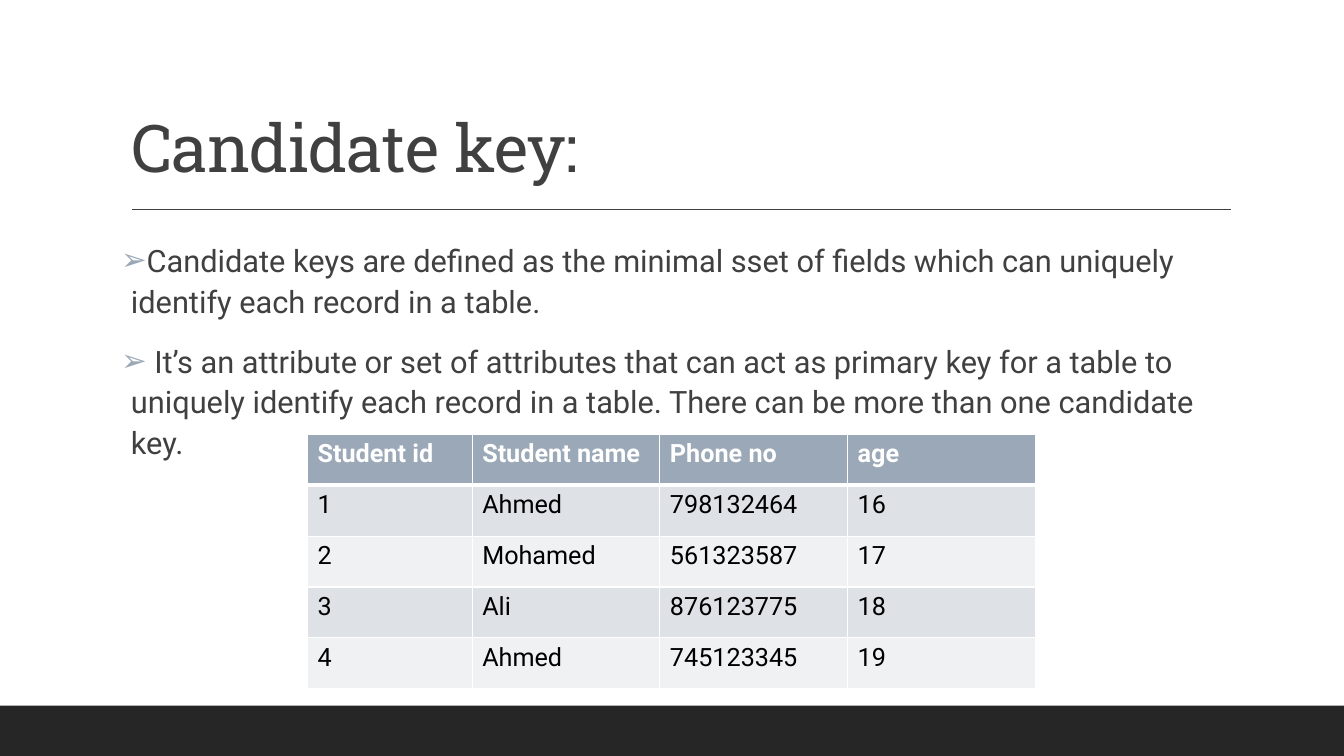
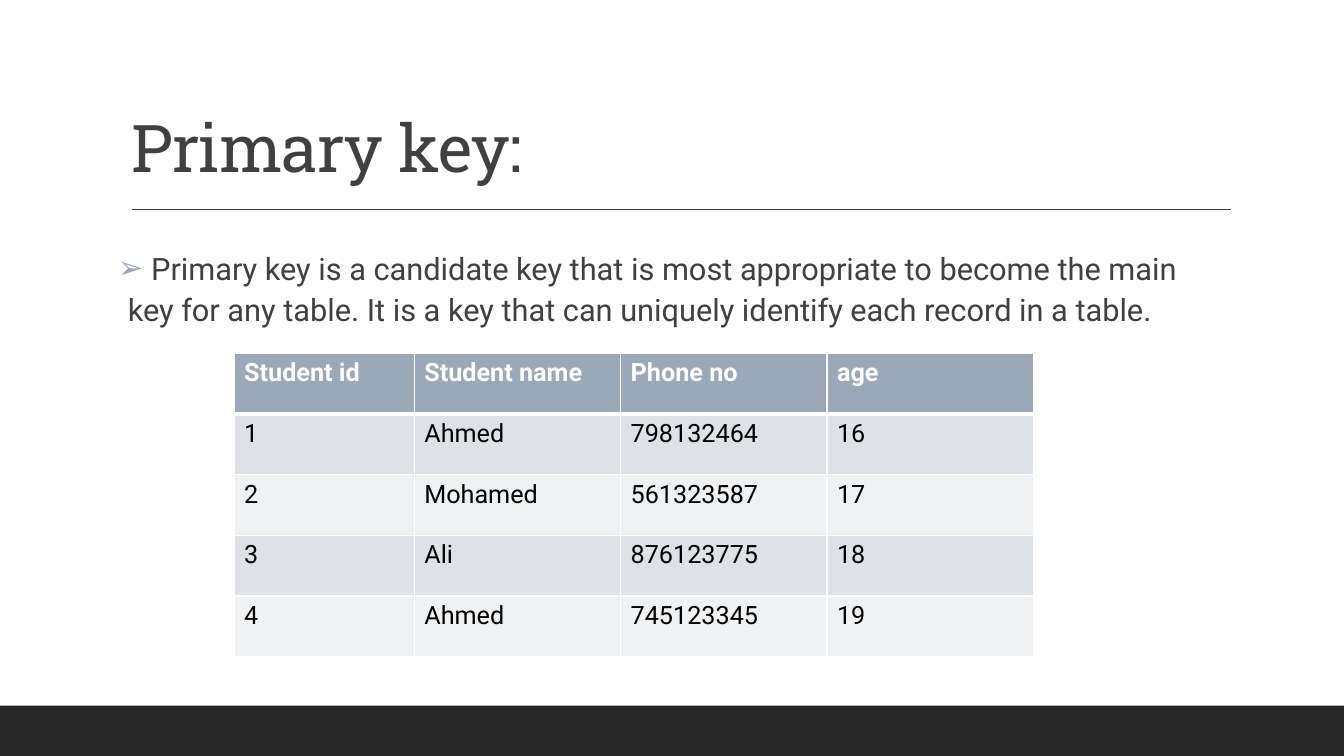
from lxml.etree import SubElement
from pptx import Presentation
from pptx.dml.color import RGBColor
from pptx.enum.shapes import MSO_CONNECTOR, MSO_SHAPE
from pptx.enum.text import MSO_ANCHOR, MSO_AUTO_SIZE, PP_ALIGN
from pptx.oxml.ns import qn
from pptx.util import Cm, Pt

WHITE = RGBColor(0xFF, 0xFF, 0xFF)
BLACK = RGBColor(0, 0, 0)
INK = RGBColor(0x40, 0x40, 0x40)
BAND = RGBColor(0x26, 0x26, 0x26)
ACCENT = RGBColor(0x9B, 0xA8, 0xB7)
ROW_TINTS = (RGBColor(0xDE, 0xE1, 0xE6), RGBColor(0xEF, 0xF1, 0xF3))

TITLE_FONT = "Roboto Slab"
BODY_FONT = "Roboto"
SLIDE_W, SLIDE_H = Cm(33.87), Cm(19.05)
BAND_H = Cm(1.27)
CONTENT_W = Cm(27.94)

STUDENTS = [
    ("Student id", "Student name", "Phone no", "age"),
    ("1", "Ahmed", "798132464", "16"),
    ("2", "Mohamed", "561323587", "17"),
    ("3", "Ali", "876123775", "18"),
    ("4", "Ahmed", "745123345", "19"),
]


def write(p, text, size=18, color=INK, font=BODY_FONT, bold=False, spacing=None):
    r = p.add_run()
    r.text = text
    r.font.size = Pt(size)
    r.font.name = font
    r.font.bold = bold
    r.font.color.rgb = color
    if spacing is not None:
        r.font._element.set("spc", str(round(spacing * 100)))


def place(sp, left, top, width, height):
    sp.left, sp.top, sp.width, sp.height = left, top, width, height


def add_frame(s):
    band = s.shapes.add_shape(
        MSO_SHAPE.RECTANGLE, 0, SLIDE_H - BAND_H, SLIDE_W, BAND_H)
    band.shadow.inherit = False
    band.fill.solid()
    band.fill.fore_color.rgb = BAND
    band.line.fill.background()

    rule = s.shapes.add_connector(
        MSO_CONNECTOR.STRAIGHT, Cm(3.33), Cm(5.28), Cm(31.01), Cm(5.28))
    rule.line.color.rgb = INK
    rule.line.width = Pt(1)
    SubElement(rule._element.spPr, qn("a:effectLst"))


def set_title(s, text):
    sp = s.shapes.title
    place(sp, Cm(3.05), Cm(0.79), CONTENT_W, Cm(4.04))
    tf = sp.text_frame
    tf.auto_size = MSO_AUTO_SIZE.NONE
    tf.vertical_anchor = MSO_ANCHOR.BOTTOM
    p = tf.paragraphs[0]
    p.alignment = PP_ALIGN.LEFT
    p.line_spacing = 0.9
    write(p, text, size=47, font=TITLE_FONT, spacing=-0.5)


def add_bullet(p):
    pPr = p._p.get_or_add_pPr()
    indent = Cm(0.25)
    pPr.set("marL", str(indent))
    pPr.set("indent", str(-indent))
    color = SubElement(pPr, qn("a:buClr"))
    SubElement(color, qn("a:srgbClr"), val=str(ACCENT))
    SubElement(pPr, qn("a:buChar"), char="➢")


def set_body(s, items, left, top):
    sp = s.placeholders[1]
    place(sp, left, top, CONTENT_W, Cm(10.44))
    tf = sp.text_frame
    tf.auto_size = MSO_AUTO_SIZE.NONE
    tf.margin_left = tf.margin_right = 0
    for i, item in enumerate(items):
        p = tf.add_paragraph() if i else tf.paragraphs[0]
        p.line_spacing = 1.1
        p.space_before = Pt(12)
        p.space_after = Pt(2)
        add_bullet(p)
        write(p, item, size=22)


def set_borders(cell, **widths):
    tcPr = cell._tc.get_or_add_tcPr()
    for side in ("L", "R", "T", "B"):
        ln = SubElement(tcPr, qn(f"a:ln{side}"), w=str(Pt(widths.get(side, 1))))
        fill = SubElement(ln, qn("a:solidFill"))
        SubElement(fill, qn("a:srgbClr"), val=str(WHITE))


def add_student_table(s, left, top, id_width, col_width, row_height):
    widths = [id_width] + [col_width] * (len(STUDENTS[0]) - 1)
    table = s.shapes.add_table(
        len(STUDENTS), len(widths), left, top,
        sum(widths), row_height * len(STUDENTS)).table
    for column, width in zip(table.columns, widths):
        column.width = width
    for i, record in enumerate(STUDENTS):
        header = i == 0
        for j, value in enumerate(record):
            cell = table.cell(i, j)
            set_borders(cell, T=3 if i == 1 else 1, B=3 if header else 1)
            cell.fill.solid()
            cell.fill.fore_color.rgb = ACCENT if header else ROW_TINTS[(i - 1) % 2]
            write(cell.text_frame.paragraphs[0], value,
                  color=WHITE if header else BLACK, bold=header)


def add_key_slide(prs, title, items, body_at, table_at, table_sizes):
    s = prs.slides.add_slide(prs.slide_layouts[1])
    add_frame(s)
    set_title(s, title)
    set_body(s, items, *body_at)
    add_student_table(s, *table_at, *table_sizes)


def main():
    prs = Presentation()
    prs.slide_width, prs.slide_height = SLIDE_W, SLIDE_H
    add_key_slide(
        prs, "Candidate key:",
        ["Candidate keys are defined as the minimal sset of fields which can "
         "uniquely identify each record in a table.",
         " It’s an attribute or set of attributes that can act as primary key "
         "for a table to uniquely identify each record in a table. There can "
         "be more than one candidate key."],
        body_at=(Cm(3.05), Cm(5.87)),
        table_at=(Cm(7.75), Cm(10.95)),
        table_sizes=(Cm(4.15), Cm(4.73), Cm(1.28)))
    add_key_slide(
        prs, "Primary key:",
        [" Primary key is a candidate key that is most appropriate to become "
         "the main key for any table. It is a key that can uniquely identify "
         "each record in a table."],
        body_at=(Cm(2.97), Cm(6.07)),
        table_at=(Cm(5.9), Cm(8.9)),
        table_sizes=(Cm(4.54), Cm(5.2), Cm(1.53)))
    prs.save("out.pptx")


if __name__ == "__main__":
    main()
